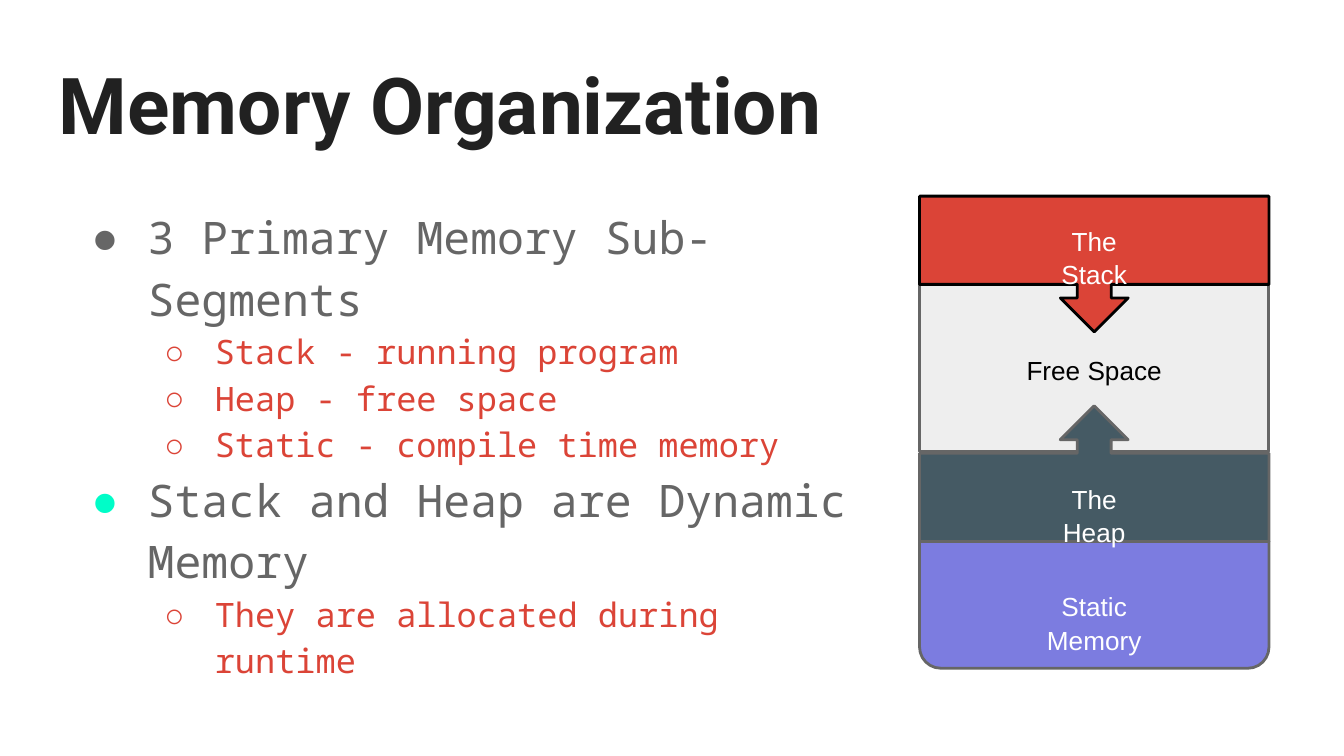
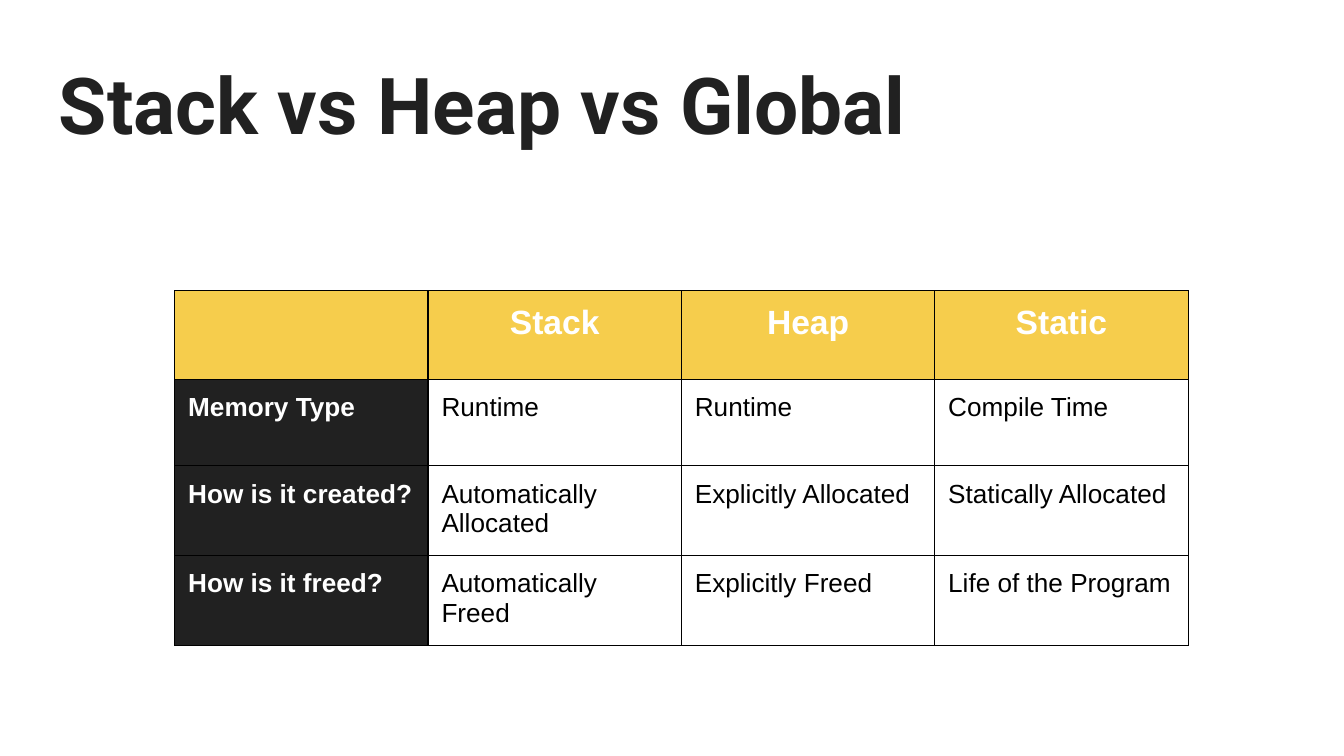
from lxml import etree
from pptx import Presentation
from pptx.dml.color import RGBColor
from pptx.enum.shapes import MSO_SHAPE
from pptx.enum.text import PP_ALIGN
from pptx.oxml.ns import qn
from pptx.util import Pt

RECT = MSO_SHAPE.RECTANGLE
ROUND_TOP = MSO_SHAPE.ROUND_2_SAME_RECTANGLE
CALLOUT = MSO_SHAPE.UP_ARROW_CALLOUT
LEFT, CENTER = PP_ALIGN.LEFT, PP_ALIGN.CENTER

INK, GREY, RED, TEAL = "212121", "666666", "DB4437", "00FDC8"
WHITE, BLACK, PALE = "FFFFFF", "000000", "EEEEEE"
SLATE, VIOLET, YELLOW = "455A64", "7C7CE0", "F6CD4C"
SANS, MONO, HEADING = "Arial", "Noto Sans Mono", "Roboto"
INSET = 7.2
TITLE_BOX = (24.5, 23, 671, 63.4)
BODY_BOX = (36, 100.8, 434, 286)
MEMORY_BOX = (492.6, 105.1, 187.2, 252.9)
TABLE_BOX = (93.6, 155.8, 543, 186.6)

BODY = [
    (0, "3 Primary Memory Sub-Segments", GREY),
    (1, "Stack - running program", RED),
    (1, "Heap - free space", RED),
    (1, "Static - compile time memory", RED),
    (0, "Stack and Heap are Dynamic Memory", TEAL),
    (1, "They are allocated during runtime", RED),
]
LEVELS = [(24, GREY, "●", 36, -30), (18, RED, "○", 72, -27)]

SEGMENTS = [
    (RECT, 46, 91, 0, (), PALE, GREY),
    (ROUND_TOP, 185, 67.9, 180, (0.167, 0), VIOLET, GREY),
    (CALLOUT, 112.3, 72.7, 0, (0.25, 0.25, 0.25, 0.65), SLATE, GREY),
    (CALLOUT, 0, 72.7, 180, (0.25, 0.25, 0.25, 0.65), RED, BLACK),
]
LABELS = [
    ("The Stack", 7.2, 75, WHITE),
    ("The Heap", 145.4, 75, WHITE),
    ("Static Memory", 203, 75, WHITE),
    ("Free Space", 76.5, 97.2, BLACK),
]
TABLE = [
    ["", "Stack", "Heap", "Static"],
    ["Memory Type", "Runtime", "Runtime", "Compile Time"],
    ["How is it created?", "Automatically Allocated",
     "Explicitly Allocated", "Statically Allocated"],
    ["How is it freed?", "Automatically Freed",
     "Explicitly Freed", "Life of the Program"],
]


def rgb(value):
    return RGBColor.from_string(value)


def place(box):
    return [Pt(v) for v in box]


def add_run(p, text, size, color, font=SANS, bold=False):
    r = p.add_run()
    r.text = text
    r.font.size = Pt(size)
    r.font.name = font
    r.font.bold = bold
    r.font.color.rgb = rgb(color)


def add_text_box(shapes, box):
    tf = shapes.add_textbox(*place(box)).text_frame
    tf.word_wrap = True
    tf.margin_left = tf.margin_right = Pt(INSET)
    tf.margin_top = tf.margin_bottom = Pt(INSET)
    return tf


def add_title(s, text):
    tf = add_text_box(s.shapes, TITLE_BOX)
    add_run(tf.paragraphs[0], text, 42, INK, HEADING, True)


def set_bullet(p, char, color, margin, indent):
    pPr = p._p.get_or_add_pPr()
    pPr.set("marL", str(Pt(margin)))
    pPr.set("indent", str(Pt(indent)))
    clr = etree.SubElement(pPr, qn("a:buClr"))
    etree.SubElement(clr, qn("a:srgbClr"), val=color)
    etree.SubElement(pPr, qn("a:buFont"), typeface=MONO)
    etree.SubElement(pPr, qn("a:buChar"), char=char)


def add_body(s, box):
    tf = add_text_box(s.shapes, box)
    for i, (level, text, bullet_color) in enumerate(BODY):
        p = tf.add_paragraph() if i else tf.paragraphs[0]
        size, color, char, margin, indent = LEVELS[level]
        p.level = level
        p.line_spacing = 1.15
        set_bullet(p, char, bullet_color, margin, indent)
        add_run(p, text, size, color, MONO)


def add_memory_diagram(s, box):
    left, top, width, _ = box
    shapes = s.shapes.add_group_shape().shapes
    for kind, y, height, turn, adjustments, fill, line in SEGMENTS:
        sp = shapes.add_shape(kind, *place((left, top + y, width, height)))
        for i, value in enumerate(adjustments):
            sp.adjustments[i] = value
        sp.rotation = turn
        sp.shadow.inherit = False
        sp.fill.solid()
        sp.fill.fore_color.rgb = rgb(fill)
        sp.line.color.rgb = rgb(line)
        sp.line.width = Pt(1.5)
    for text, y, label_width, color in LABELS:
        x = left + (width - label_width) / 2
        tf = add_text_box(shapes, (x, top + y, label_width, 32.4))
        p = tf.paragraphs[0]
        p.alignment = CENTER
        p.line_spacing = 1.07
        add_run(p, text, 14, color)


def set_borders(cell):
    tcPr = cell._tc.get_or_add_tcPr()
    for i, side in enumerate(("lnL", "lnR", "lnT", "lnB")):
        ln = etree.Element(qn("a:" + side), w=str(Pt(0.75)))
        fill = etree.SubElement(ln, qn("a:solidFill"))
        etree.SubElement(fill, qn("a:srgbClr"), val=BLACK)
        tcPr.insert(i, ln)


def fill_cell(cell, text, row, col):
    cell.margin_left = cell.margin_right = Pt(INSET)
    cell.margin_top = cell.margin_bottom = Pt(INSET)
    header, bold = row == 0, row == 0 or col == 0
    if bold:
        cell.fill.solid()
        cell.fill.fore_color.rgb = rgb(YELLOW if header else INK)
    else:
        cell.fill.background()
    set_borders(cell)
    if text:
        p = cell.text_frame.paragraphs[0]
        p.alignment = CENTER if header else LEFT
        add_run(p, text, 18 if header else 14,
                WHITE if bold else BLACK, SANS, bold)


def add_comparison_table(s, box):
    table = s.shapes.add_table(len(TABLE), len(TABLE[0]), *place(box)).table
    table.first_row = table.horz_banding = False
    for column in table.columns:
        column.width = Pt(box[2] / len(TABLE[0]))
    for i, row in enumerate(TABLE):
        table.rows[i].height = Pt(46.4 if i else 47.4)
        for j, text in enumerate(row):
            fill_cell(table.cell(i, j), text, i, j)


def add_slide(prs, title):
    s = prs.slides.add_slide(prs.slide_layouts[6])
    s.background.fill.solid()
    s.background.fill.fore_color.rgb = rgb(WHITE)
    add_title(s, title)
    return s


def main():
    prs = Presentation()
    prs.slide_width, prs.slide_height = Pt(720), Pt(405)
    s = add_slide(prs, "Memory Organization")
    add_body(s, BODY_BOX)
    add_memory_diagram(s, MEMORY_BOX)
    s = add_slide(prs, "Stack vs Heap vs Global")
    add_comparison_table(s, TABLE_BOX)
    prs.save("out.pptx")


if __name__ == "__main__":
    main()
